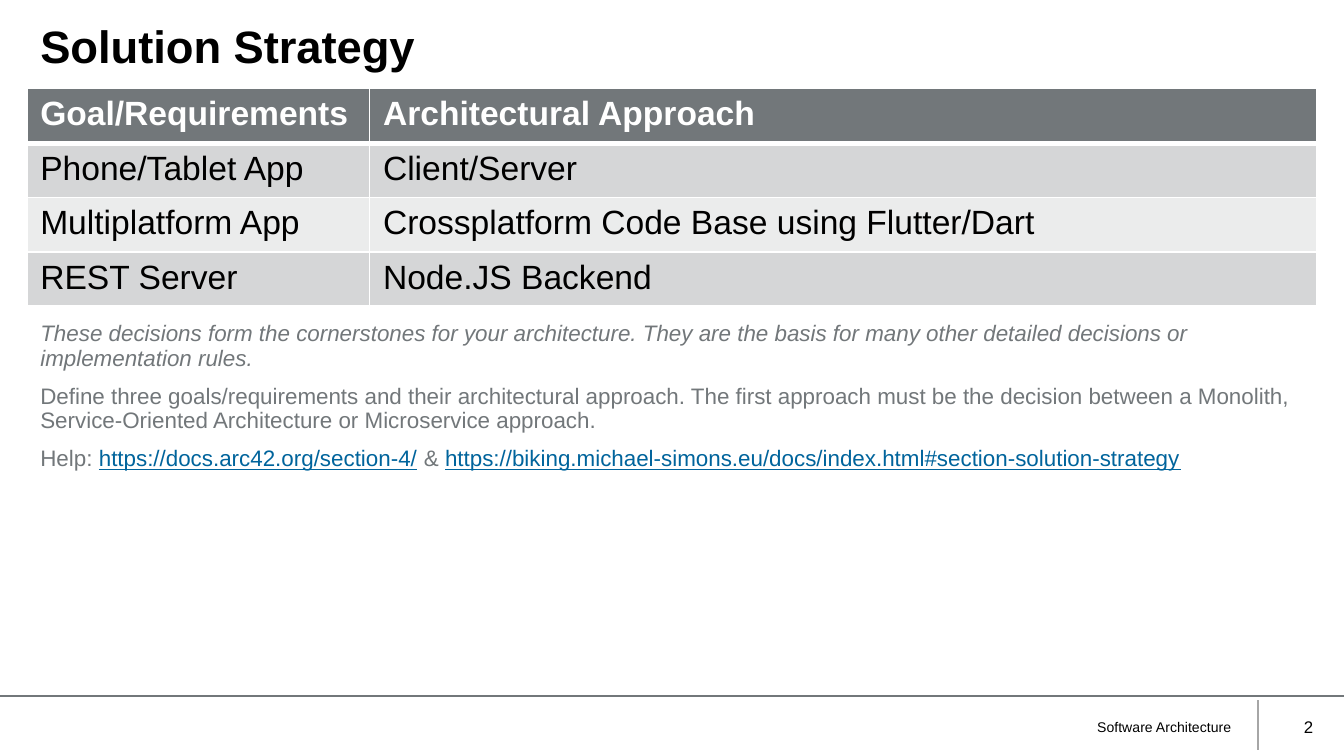
from lxml import etree
from pptx import Presentation
from pptx import util as u
from pptx.dml.color import RGBColor
from pptx.enum import shapes, text
from pptx.oxml import ns

COLORS = {
    "black": "000000",
    "white": "FFFFFF",
    "gray": "72777A",
    "divider": "A6A6A6",
    "link": "00649C",
    "band_dark": "D5D6D7",
    "band_light": "EBECEC",
}
FONT = "Arial"


def color(name):
    return RGBColor.from_string(COLORS[name])


def write(paragraph, content, size=12, fill="black", bold=False, italic=False, underline=False):
    run = paragraph.add_run()
    run.text = content
    font = run.font
    font.name, font.size = FONT, u.Pt(size)
    font.bold, font.italic, font.underline = bold, italic, underline
    font.color.rgb = color(fill)


class SlideBuilder:
    def __init__(self, presentation):
        self.slide = presentation.slides.add_slide(presentation.slide_layouts[1])

    def place(self, shape, box, anchor=text.MSO_ANCHOR.TOP):
        shape.left, shape.top, shape.width, shape.height = map(u.Inches, box)
        frame = shape.text_frame
        frame.word_wrap = True
        frame.auto_size = text.MSO_AUTO_SIZE.NONE
        frame.vertical_anchor = anchor
        return frame

    def title(self, content, box):
        paragraph = self.place(self.slide.shapes.title, box).paragraphs[0]
        paragraph.alignment = text.PP_ALIGN.LEFT
        paragraph.line_spacing = 0.9
        write(paragraph, content, size=24.3, bold=True)

    def body(self, paragraphs, box):
        frame = self.place(self.slide.placeholders[1], box)
        for index, runs in enumerate(paragraphs):
            paragraph = frame.add_paragraph() if index else frame.paragraphs[0]
            paragraph.line_spacing = 0.9
            paragraph.space_before = paragraph.space_after = u.Pt(3.8)
            properties = paragraph._p.get_or_add_pPr()
            properties.set("marL", "0")
            properties.set("indent", "0")
            etree.SubElement(properties, ns.qn("a:buNone"))
            for content, style in runs:
                write(paragraph, content, **{"fill": "gray", **style})

    def footer(self, content, box, size):
        shape = self.slide.shapes.add_textbox(0, 0, 0, 0)
        paragraph = self.place(shape, box, text.MSO_ANCHOR.MIDDLE).paragraphs[0]
        paragraph.alignment = text.PP_ALIGN.RIGHT
        write(paragraph, content, size=size)

    def line(self, start, end, fill):
        connector = self.slide.shapes.add_connector(
            shapes.MSO_CONNECTOR.STRAIGHT, *map(u.Inches, start + end))
        connector.line.color.rgb = color(fill)
        connector.line.width = u.Pt(1)
        etree.SubElement(connector._element.spPr, ns.qn("a:effectLst"))

    def border(self, cell, side, width):
        properties = cell._tc.get_or_add_tcPr()
        line = etree.SubElement(properties, ns.qn(f"a:ln{side}"), w=str(u.Pt(width)))
        solid = etree.SubElement(line, ns.qn("a:solidFill"))
        etree.SubElement(solid, ns.qn("a:srgbClr"), val=COLORS["white"])

    def table(self, rows, box, widths):
        frame = self.slide.shapes.add_table(len(rows), len(widths), *map(u.Inches, box))
        table = frame.table
        for column, width in zip(table.columns, widths):
            column.width = u.Inches(width)
        for row_index, row in enumerate(rows):
            header = row_index == 0
            band = "gray" if header else "band_dark" if row_index % 2 else "band_light"
            for column_index, content in enumerate(row):
                cell = table.cell(row_index, column_index)
                self.border(cell, "L", 1)
                self.border(cell, "R", 1)
                self.border(cell, "T", 3 if row_index == 1 else 1)
                self.border(cell, "B", 3 if header else 1)
                cell.fill.solid()
                cell.fill.fore_color.rgb = color(band)
                write(cell.text_frame.paragraphs[0], content, size=18,
                      fill="white" if header else "black", bold=header)


def main():
    presentation = Presentation()
    presentation.slide_width = u.Inches(10)
    presentation.slide_height = u.Inches(10 * 9 / 16)
    builder = SlideBuilder(presentation)
    link = {"fill": "link", "underline": True}

    builder.line((9.36, 5.21), (9.36, 5.58), "divider")
    builder.line((0, 5.18), (10, 5.18), "gray")
    builder.title("Solution Strategy", (0.2, 0.13, 9.6, 0.48))
    builder.footer("Software Architecture", (3.05, 5.26, 6.21, 0.3), 7.5)
    builder.footer("2", (9.34, 5.26, 0.53, 0.3), 9)
    builder.body([
        [("These decisions form the cornerstones for your architecture. They are the basis "
          "for many other detailed decisions or implementation rules.", {"italic": True})],
        [("Define three goals/requirements and their architectural approach. The first "
          "approach must be the decision between a Monolith, Service-Oriented Architecture "
          "or Microservice approach.", {})],
        [("Help: ", {}),
         ("https://docs.arc42.org/section-4/", link),
         (" & ", {}),
         ("https://biking.michael-simons.eu/docs/index.html#section-solution-strategy", link)],
    ], (0.2, 2.35, 9.6, 2.75))
    builder.table([
        ("Goal/Requirements", "Architectural Approach"),
        ("Phone/Tablet App", "Client/Server"),
        ("Multiplatform App", "Crossplatform Code Base using Flutter/Dart"),
        ("REST Server", "Node.JS Backend"),
    ], (0.2, 0.66, 9.6, 1.62), (2.55, 7.05))

    presentation.save("out.pptx")


if __name__ == "__main__":
    main()
